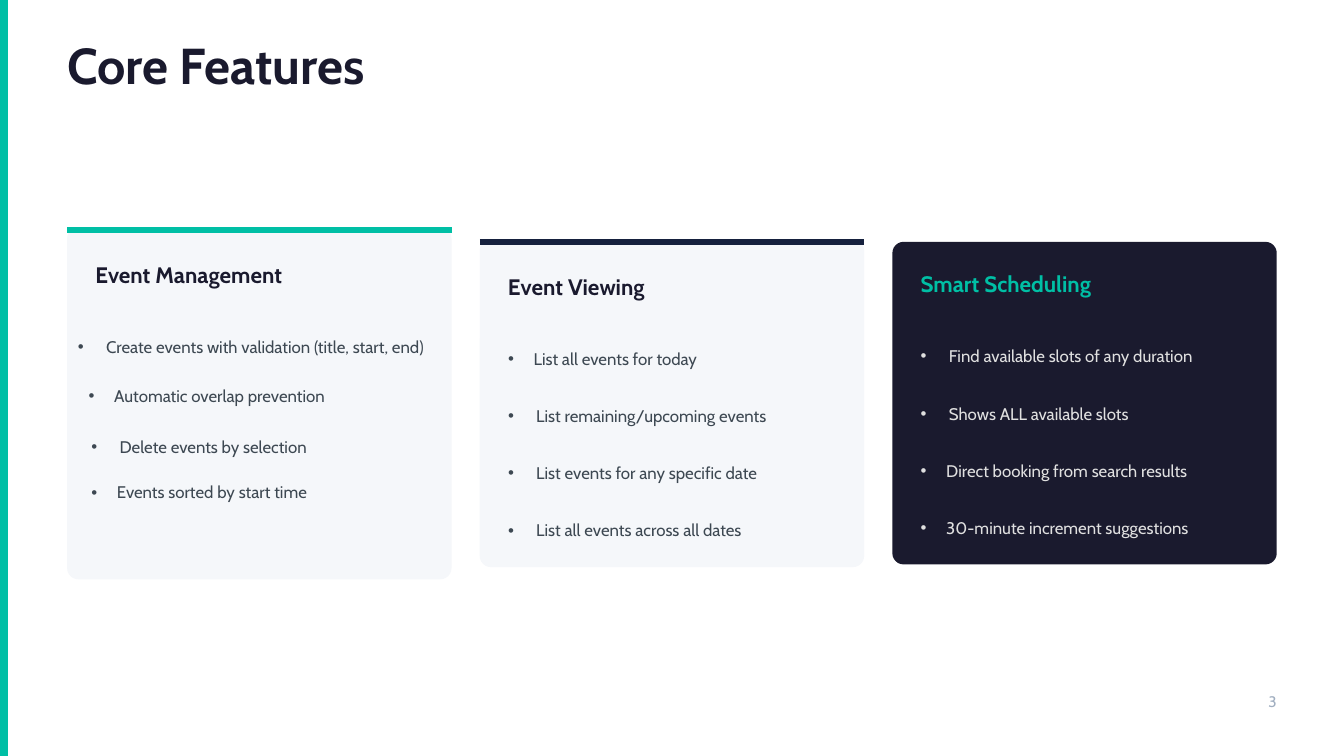
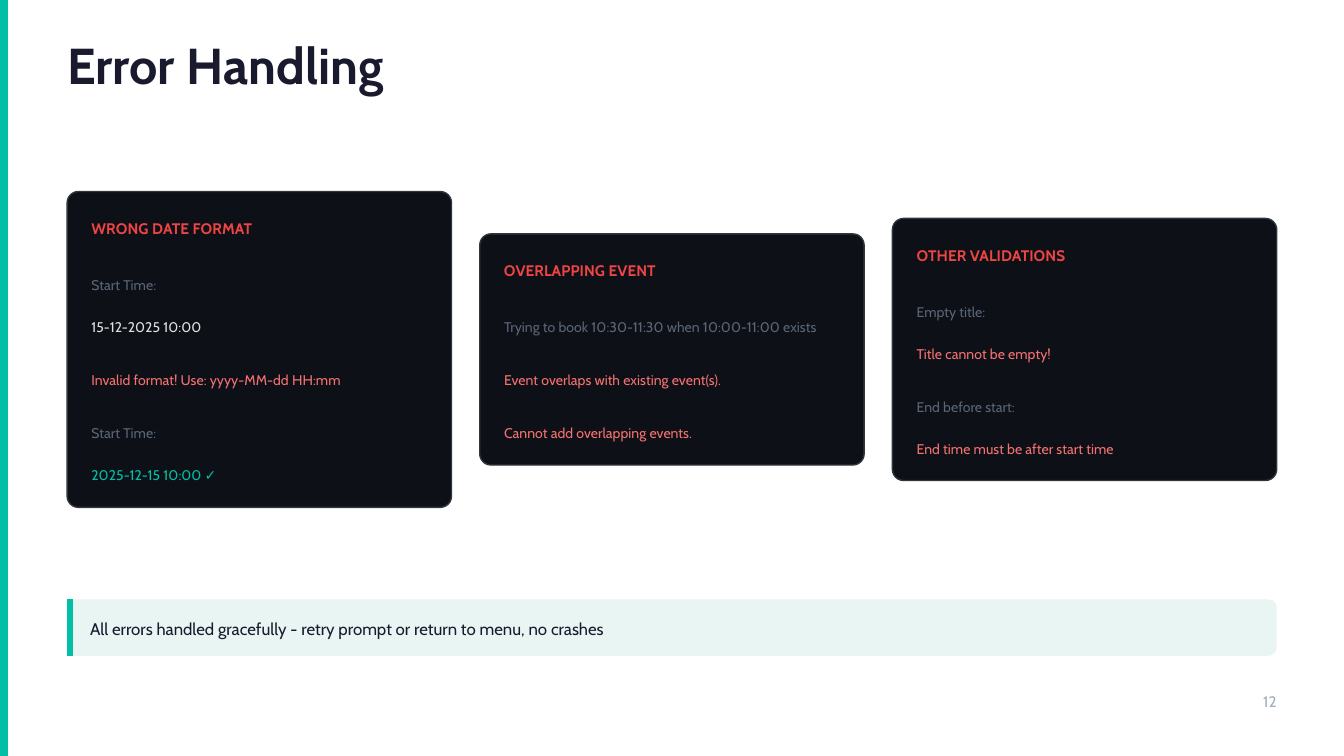
"""Build the core features and error handling slides of an event scheduler deck."""
from dataclasses import dataclass

from lxml import etree
from pptx import Presentation
from pptx.dml.color import RGBColor
from pptx.enum import shapes, text
from pptx.oxml import ns
from pptx.util import Inches, Pt


@dataclass
class Line:
    text: str
    style: str
    after: float = 18
    shift: float = 0
    hang: float = 0


def bullet(words, wide=False, style="bullet", **options):
    return Line(words, style, hang=0.21 if wide else 0.19, **options)


def light(words, wide=False):
    return bullet(words, wide, "light bullet")


def label(words):
    return Line(words, "muted", after=12)


THEME = {
    "font": "Cabin",
    "colors": {
        "teal": "00BFA5", "ink": "1A1A2E", "navy": "16213E", "mist": "F5F7FA",
        "slate": "3D4852", "silver": "E0E0E0", "terminal": "0D1117",
        "border": "30363D", "red": "EF4444", "coral": "F87171",
        "gray": "5A6577", "mint": "E8F5F3", "footer": "A0AEC0",
    },
    "styles": {
        "title": (27, 27, "ink", True),
        "heading": (12, 14.4, "ink", True),
        "light heading": (12, 14.4, "teal", True),
        "error heading": (8.25, 11.6, "red", True),
        "bullet": (9, 12.6, "slate", False),
        "light bullet": (9, 12.6, "silver", False),
        "muted": (7.5, 10.5, "gray", False),
        "input": (7.5, 10.5, "silver", False),
        "error": (7.5, 10.5, "coral", False),
        "success": (7.5, 10.5, "teal", False),
        "note": (9, 12.6, "ink", False),
        "footer": (8.25, 11.6, "footer", False),
    },
}

SLIDES = [
    {
        "title": "Core Features", "number": "3", "middle": 3.0, "pad": 0.21,
        "list_drop": 0.54, "heading_height": 0.2,
        "cards": [
            {
                "heading": ("Event Management", "heading"), "height": 2.62,
                "drop": 0.25, "fill": "mist", "accent": "teal", "list_pad": 0.08,
                "lines": [
                    bullet("Create events with validation (title, start, end)", True, after=13.4),
                    bullet("Automatic overlap prevention", after=14.8, shift=0.08),
                    bullet("Delete events by selection", True, after=11.9, shift=0.1),
                    bullet("Events sorted by start time", shift=0.1),
                ],
            },
            {
                "heading": ("Event Viewing", "heading"), "height": 2.44,
                "drop": 0.25, "fill": "mist", "accent": "navy",
                "lines": [
                    bullet("List all events for today"),
                    bullet("List remaining/upcoming events", True),
                    bullet("List events for any specific date", True),
                    bullet("List all events across all dates", True),
                ],
            },
            {
                "heading": ("Smart Scheduling", "light heading"), "height": 2.4,
                "drop": 0.21, "fill": "ink",
                "lines": [
                    light("Find available slots of any duration", True),
                    light("Shows ALL available slots", True),
                    light("Direct booking from search results"),
                    light("30-minute increment suggestions"),
                ],
            },
        ],
    },
    {
        "title": "Error Handling", "number": "12", "middle": 2.6, "pad": 0.18,
        "list_drop": 0.43, "heading_height": 0.16,
        "note": "All errors handled gracefully - retry prompt or return to menu, no crashes",
        "cards": [
            {
                "heading": ("WRONG DATE FORMAT", "error heading"), "height": 2.35,
                "drop": 0.18, "fill": "terminal", "border": "border",
                "lines": [
                    label("Start Time:"),
                    Line("15-12-2025 10:00", "input"),
                    Line("Invalid format! Use: yyyy-MM-dd HH:mm", "error"),
                    label("Start Time:"),
                    Line("2025-12-15 10:00 ✓", "success"),
                ],
            },
            {
                "heading": ("OVERLAPPING EVENT", "error heading"), "height": 1.72,
                "drop": 0.18, "fill": "terminal", "border": "border",
                "lines": [
                    Line("Trying to book 10:30-11:30 when 10:00-11:00 exists", "muted"),
                    Line("Event overlaps with existing event(s).", "error"),
                    Line("Cannot add overlapping events.", "error"),
                ],
            },
            {
                "heading": ("OTHER VALIDATIONS", "error heading"), "height": 1.95,
                "drop": 0.18, "fill": "terminal", "border": "border",
                "lines": [
                    label("Empty title:"),
                    Line("Title cannot be empty!", "error"),
                    label("End before start:"),
                    Line("End time must be after start time", "error"),
                ],
            },
        ],
    },
]

WIDTH, MARGIN = 10, 0.5
HEIGHT = WIDTH * 9 / 16
CARD_WIDTH, CARD_GAP = 2.86, 0.21
ACCENT_WEIGHT, ACCENT_INSET = 3, 0.02


def color(name):
    return RGBColor.from_string(THEME["colors"][name])


def set_values(target, values):
    for name, value in values.items():
        setattr(target, name, value)


def write_lines(shape, box, lines, align=text.PP_ALIGN.LEFT):
    set_values(shape, dict(zip(("left", "top", "width", "height"), map(Inches, box))))
    frame = shape.text_frame
    set_values(frame, {
        "margin_left": 0, "margin_top": 0, "margin_right": 0, "margin_bottom": 0,
        "word_wrap": True, "auto_size": text.MSO_AUTO_SIZE.NONE,
        "vertical_anchor": text.MSO_ANCHOR.TOP,
    })
    for index, line in enumerate(lines):
        paragraph = frame.add_paragraph() if index else frame.paragraphs[0]
        size, spacing, ink, bold = THEME["styles"][line.style]
        set_values(paragraph, {
            "alignment": align, "line_spacing": Pt(spacing),
            "space_before": Pt(0), "space_after": Pt(line.after),
        })
        run = paragraph.add_run()
        run.text = line.text
        set_values(run.font, {"name": THEME["font"], "size": Pt(size), "bold": bold})
        run.font.color.rgb = color(ink)
        properties = paragraph._p.get_or_add_pPr()
        properties.set("marL", str(Inches(line.shift + line.hang)))
        properties.set("indent", str(-Inches(line.hang)))
        mark = etree.SubElement(properties, ns.qn("a:buChar" if line.hang else "a:buNone"))
        if line.hang:
            mark.set("char", "•")


def add_text(slide, box, words, style, **options):
    shape = slide.shapes.add_textbox(*map(Inches, box))
    write_lines(shape, box, [Line(words, style, after=0)], **options)


def add_panel(slide, box, fill, radius=None, border=None):
    kind = shapes.MSO_SHAPE.ROUNDED_RECTANGLE if radius else shapes.MSO_SHAPE.RECTANGLE
    shape = slide.shapes.add_shape(kind, *map(Inches, box))
    shape.shadow.inherit = False
    shape.fill.solid()
    shape.fill.fore_color.rgb = color(fill)
    if radius:
        shape.adjustments[0] = Pt(radius) / shape.height
    if border:
        shape.line.color.rgb = color(border)
        shape.line.width = Pt(0.75)
    else:
        shape.line.fill.background()


def add_accent(slide, start, end, ink):
    points = map(Inches, (*start, *end))
    connector = slide.shapes.add_connector(shapes.MSO_CONNECTOR.STRAIGHT, *points)
    connector.line.color.rgb = color(ink)
    connector.line.width = Pt(ACCENT_WEIGHT)
    etree.SubElement(connector._element.spPr, ns.qn("a:effectLst"))


def add_card(slide, body, content, card, left):
    height = card["height"]
    top = content["middle"] - height / 2
    add_panel(slide, (left, top, CARD_WIDTH, height), card["fill"], 6, card.get("border"))
    if "accent" in card:
        edge = top + ACCENT_INSET
        add_accent(slide, (left, edge), (left + CARD_WIDTH, edge), card["accent"])
    pad = content["pad"]
    heading_top = top + card["drop"]
    heading_box = (left + pad, heading_top, CARD_WIDTH - 2 * pad, content["heading_height"])
    add_text(slide, heading_box, *card["heading"])
    list_pad = card.get("list_pad", pad)
    list_top = heading_top + content["list_drop"]
    list_box = (left + list_pad, list_top, CARD_WIDTH - list_pad, top + height - list_top)
    body.element.getparent().append(body.element)
    write_lines(body, list_box, card["lines"])


def add_note(slide, words):
    top, height = 4.46, 0.42
    add_panel(slide, (MARGIN, top, WIDTH - 2 * MARGIN, height), "mint", 4.5)
    edge = MARGIN + ACCENT_INSET
    add_accent(slide, (edge, top), (edge, top + height), "teal")
    add_text(slide, (0.67, 4.58, 8.88, 0.17), words, "note")


def add_slide(presentation, content):
    layout = presentation.slide_layouts.get_by_name("Comparison")
    slide = presentation.slides.add_slide(layout)
    title, *bodies = slide.placeholders
    add_panel(slide, (0, 0, 0.06, HEIGHT), "teal")
    write_lines(title, (MARGIN, 0.33, 4.6, 0.38), [Line(content["title"], "title", after=0)])
    for index, (card, body) in enumerate(zip(content["cards"], bodies)):
        add_card(slide, body, content, card, MARGIN + index * (CARD_WIDTH + CARD_GAP))
    for spare in bodies[len(content["cards"]):]:
        spare.element.getparent().remove(spare.element)
    if "note" in content:
        add_note(slide, content["note"])
    add_text(slide, (0.32, 5.13, 9.18, 0.16), content["number"], "footer",
             align=text.PP_ALIGN.RIGHT)


def main():
    presentation = Presentation()
    set_values(presentation, {"slide_width": Inches(WIDTH), "slide_height": Inches(HEIGHT)})
    for content in SLIDES:
        add_slide(presentation, content)
    presentation.save("out.pptx")


if __name__ == "__main__":
    main()
